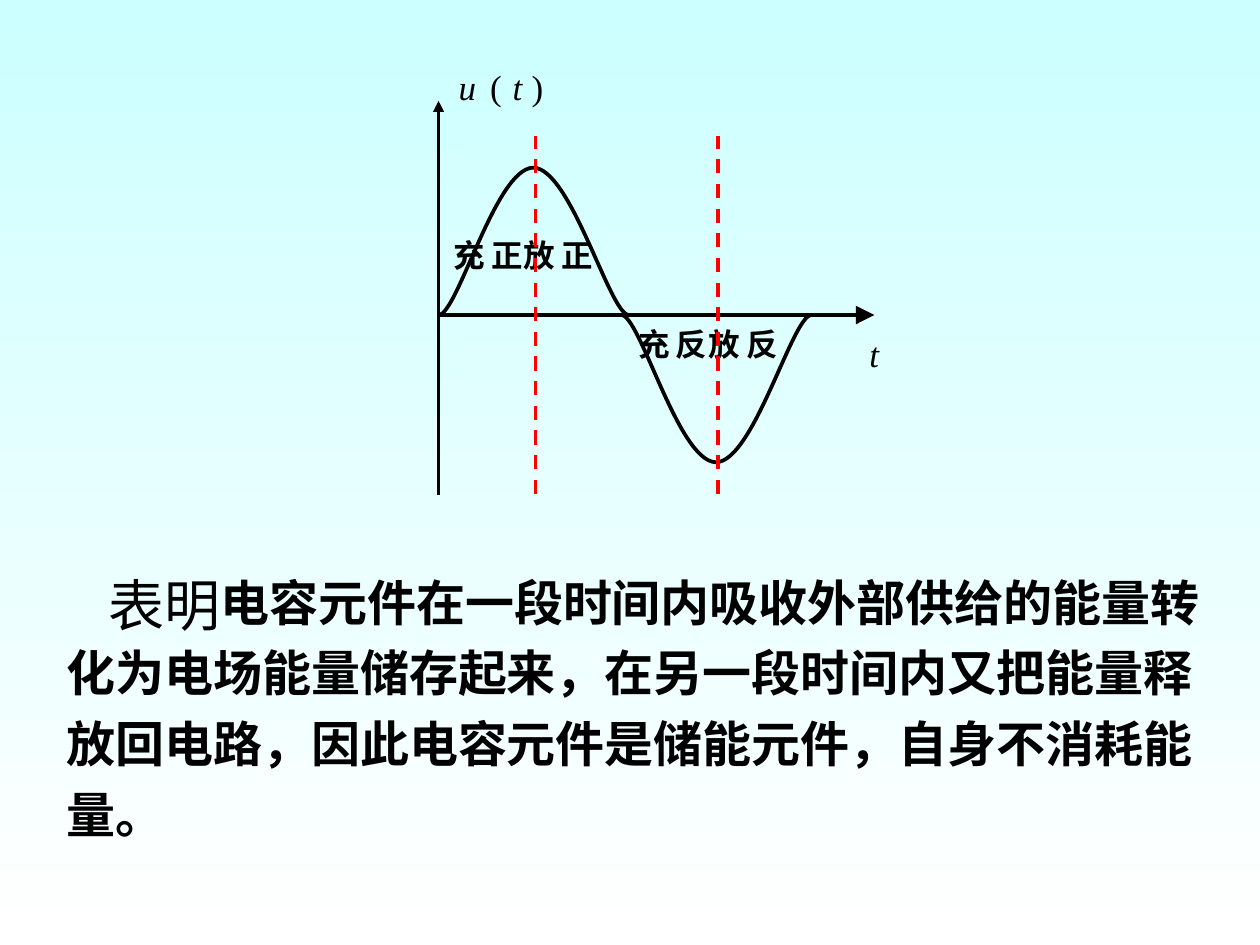
from lxml import etree
from pptx import Presentation
from pptx import util as u
from pptx.dml.color import RGBColor
from pptx.enum import dml, shapes, text
from pptx.oxml import ns

BLACK = RGBColor(0x00, 0x00, 0x00)
RED = RGBColor(0xFF, 0x00, 0x00)
SKY = RGBColor(0xCC, 0xFF, 0xFF)
WHITE = RGBColor(0xFF, 0xFF, 0xFF)

FONT = "Times New Roman"
AXIS_X, AXIS_Y = 250.6, 180
HALF_PERIOD = 104.4
STROKE = 2.13
HALF_WAVE = [(108.7, 0), (97.9, 0), (75.6, 84.2), (54, 84.2),
             (32.4, 83.5), (10.8, 0), (0, 0)]

BODY = ("电容元件在一段时间内吸收外部供给的能量转化为电场能量储存起来，"
        "在另一段时间内又把能量释放回电路，因此电容元件是储能元件，自身不消耗能量。")


def apply(target, values):
    for name, value in values.items():
        setattr(target, name, value)


def paint_background(page):
    fill = page.background.fill
    fill.gradient()
    fill.gradient_angle = 270
    for stop, color, position in zip(fill.gradient_stops, (SKY, WHITE), (0, 1)):
        stop.color.rgb = color
        stop.position = position


def add_text(page, words, area, size, inset=(0, 0), wrap=False, vertical=False,
             layout=None, **style):
    box = page.shapes.add_textbox(*map(u.Pt, area))
    frame = box.text_frame
    across, down = map(u.Pt, inset)
    apply(frame, {"margin_left": across, "margin_right": across,
                  "margin_top": down, "margin_bottom": down,
                  "word_wrap": wrap,
                  "auto_size": text.MSO_AUTO_SIZE.SHAPE_TO_FIT_TEXT})
    if vertical:
        frame._txBody.bodyPr.set("vert", "eaVert")
    para = frame.paragraphs[0]
    apply(para, layout or {})
    span = para.add_run()
    span.text = words
    span.font.color.rgb = BLACK
    apply(span.font, {"name": FONT, "size": u.Pt(size), **style})
    return para


def add_line(page, start, end, color, width, dash=None, arrow=None):
    line = page.shapes.add_connector(
        shapes.MSO_CONNECTOR.STRAIGHT, *map(u.Pt, (*start, *end)))
    line.line.color.rgb = color
    apply(line.line, {"width": u.Pt(width), "dash_style": dash})
    if arrow:
        etree.SubElement(line.line._get_or_add_ln(), ns.qn("a:tailEnd"),
                         type="triangle", w=arrow, len=arrow)
    etree.SubElement(line._element.spPr, ns.qn("a:effectLst"))


def add_curve(page, points):
    places = [(u.Pt(x), u.Pt(y)) for x, y in points]
    builder = page.shapes.build_freeform(*places[0], scale=1.0)
    builder.add_line_segments(places[1:], close=False)
    curve = builder.convert_to_shape()
    curve.shadow.inherit = False
    curve.fill.background()
    curve.line.color.rgb = BLACK
    curve.line.width = u.Pt(STROKE)
    outline = curve._element.find(".//" + ns.qn("a:path"))
    segments = outline.findall(ns.qn("a:lnTo"))
    for first in range(0, len(segments), 3):
        bend = etree.SubElement(outline, ns.qn("a:cubicBezTo"))
        for segment in segments[first:first + 3]:
            bend.append(segment[0])
            outline.remove(segment)


def add_wave(page):
    for half, direction in enumerate((-1, 1)):
        add_curve(page, [(AXIS_X + half * HALF_PERIOD + x, AXIS_Y + direction * y)
                         for x, y in HALF_WAVE])


def add_axes(page):
    add_line(page, (AXIS_X, 283), (AXIS_X, 57.6), BLACK, STROKE, arrow="med")
    add_line(page, (AXIS_X, AXIS_Y), (499.7, AXIS_Y), BLACK, STROKE, arrow="lg")
    for mark, left, top, width, italic in (
            ("t", 496.8, 190, 5.8, True), ("u", 262, 37.4, 10, True),
            ("(", 280, 37.4, 6.5, False), ("t", 293, 37.4, 5.8, True),
            (")", 303.8, 37.4, 6.5, False)):
        add_text(page, mark, (left, top, width, 23.8), 20, italic=italic)


def add_phases(page):
    for words, left, top in (("正充", 267.8, 129.6), ("正放", 307.4, 129.6),
                             ("反充", 373, 180.7), ("反放", 413.3, 180.7)):
        add_text(page, words, (left, top, 36, 45.4), 18, inset=(3.6, 7.2),
                 wrap=True, vertical=True, bold=True)
    for x in (410.4, 306):
        add_line(page, (x, 282.2), (x, 77.8), RED, 2,
                 dash=dml.MSO_LINE.DASH)


def add_conclusion(page):
    para = add_text(page, BODY, (31, 316.8, 671.8, 168.5), 28, inset=(7.2, 3.6),
                    wrap=True, layout={"line_spacing": 1.2}, bold=True)
    para._p.get_or_add_pPr().set("indent", str(u.Pt(88)))
    add_text(page, "表明", (54.7, 322.6, 78.5, 46), 32, inset=(7.2, 3.6),
             layout={"alignment": text.PP_ALIGN.CENTER})


def main():
    deck = Presentation()
    apply(deck, {"slide_width": u.Pt(720), "slide_height": u.Pt(540)})
    page = deck.slides.add_slide(deck.slide_layouts[6])
    paint_background(page)
    add_conclusion(page)
    add_wave(page)
    add_axes(page)
    add_phases(page)
    deck.save("out.pptx")


if __name__ == "__main__":
    main()
